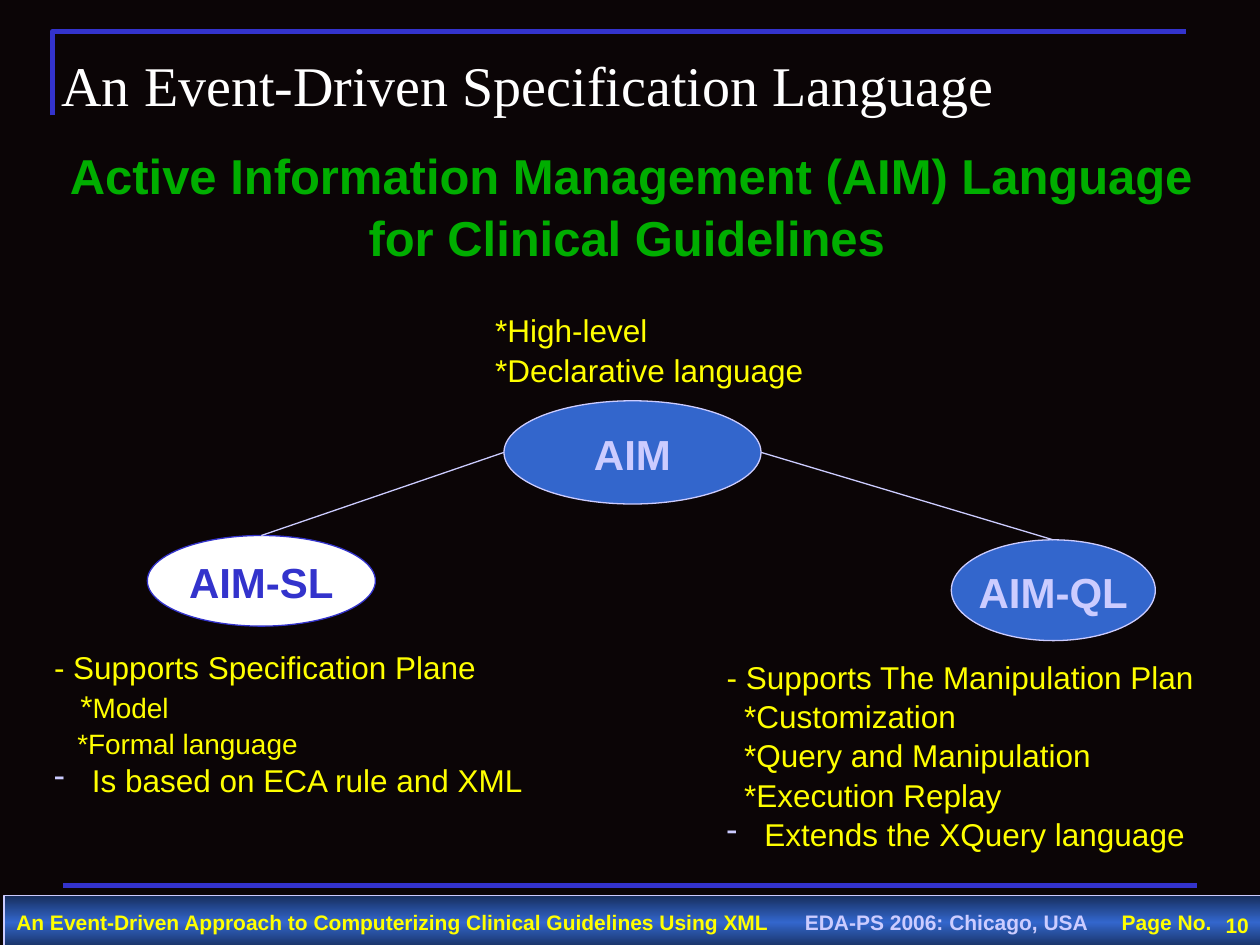
from copy import deepcopy
from lxml.etree import SubElement
from pptx import Presentation
from pptx.dml.color import RGBColor
from pptx.enum.shapes import MSO_CONNECTOR, MSO_SHAPE
from pptx.enum.text import MSO_ANCHOR, PP_ALIGN
from pptx.oxml.ns import qn
from pptx.util import Pt

INDIGO, BLUE, NAVY = "3333CC", "3366CC", "172F5E"
LILAC, YELLOW, GREEN, WHITE = "CCCCFF", "FFFF00", "00AE00", "FFFFFF"
SPACING = 1.04
BULLET_INDENT = 21.6

# Content: a run is (text, size, colour, bold)
TITLE = [("An Event-Driven Specification Language", 32, WHITE, False)]
HEADING = [("Active Information Management (AIM) Language for Clinical Guidelines", 28, GREEN, True),
           (" ", 18, LILAC, False)]
FOOTER = [("An Event-Driven Approach to Computerizing Clinical Guidelines Using XML", 12, YELLOW, True),
          ("\tEDA-PS 2006: Chicago, USA", 12, LILAC, True),
          ("\tPage No.", 12, YELLOW, True)]
FOOTER_TABS = (450.6, 631.7)
PAGE_NUMBER = [("10", 12, YELLOW, True)]

# Ellipses: name, box, fill, line and text colour
ELLIPSES = [
    ("AIM", (288, 229, 146.9, 59), BLUE, LILAC),
    ("AIM-SL", (84.2, 306, 130.3, 51.8), WHITE, INDIGO),
    ("AIM-QL", (543.6, 308.5, 116.6, 57.6), BLUE, LILAC),
]

# Notes: box, then lines of (runs as (text, size), left indent, bulleted)
NOTES = [
    ((275.8, 173.5, 190.8, 52.6), [
        ([("*High-level", 18)], 0, False),
        ([("*Declarative language", 18)], 0, False)]),
    ((23.8, 365.8, 347.8, 117.4), [
        ([("- Supports Specification Plane", 18)], 0, False),
        ([("*", 18), ("Model", 16)], 15, False),
        ([("*Formal language", 16)], 13.3, False),
        ([("Is based on ECA rule and XML", 18)], BULLET_INDENT, True)]),
    ((408.2, 371.5, 300.2, 141.8), [
        ([("- Supports The Manipulation Plan", 18)], 0, False),
        ([("*Customization", 18)], 10, False),
        ([("*Query and Manipulation", 18)], 10, False),
        ([("*Execution Replay", 18)], 10, False),
        ([("Extends the XQuery language", 18)], BULLET_INDENT, True)]),
]

presentation = Presentation()
presentation.slide_width, presentation.slide_height = Pt(720), Pt(540)
slide = presentation.slides.add_slide(presentation.slide_layouts[6])
shapes = slide.shapes


def color(value):
    return RGBColor.from_string(value)


def set_line(shape, value, width):
    shape.line.color.rgb = color(value)
    shape.line.width = Pt(width)


def add_runs(paragraph, runs, font="Arial"):
    for text, size, value, bold in runs:
        run = paragraph.add_run()
        run.text = text
        run.font.name, run.font.size, run.font.bold = font, Pt(size), bold
        run.font.color.rgb = color(value)


def add_text(box, runs, align=PP_ALIGN.LEFT, anchor=MSO_ANCHOR.TOP, spacing=SPACING, font="Arial"):
    frame = shapes.add_textbox(*map(Pt, box)).text_frame
    frame.word_wrap, frame.vertical_anchor = True, anchor
    paragraph = frame.paragraphs[0]
    paragraph.alignment, paragraph.line_spacing = align, spacing
    add_runs(paragraph, runs, font)
    return frame


def add_line(start, end, value, width):
    line = shapes.add_connector(MSO_CONNECTOR.STRAIGHT, *map(Pt, (*start, *end)))
    set_line(line, value, width)
    SubElement(line._element.spPr, qn("a:effectLst"))


def indent(paragraph, left, bulleted):
    properties = paragraph._p.get_or_add_pPr()
    properties.set("marL", str(int(Pt(left))))
    properties.set("indent", str(int(Pt(-left if bulleted else 0))))
    if bulleted:
        bullet_color = SubElement(properties, qn("a:buClr"))
        SubElement(bullet_color, qn("a:srgbClr")).set("val", LILAC)
        SubElement(properties, qn("a:buChar")).set("char", "-")


# Background and frame lines
slide.background.fill.solid()
slide.background.fill.fore_color.rgb = color("0B0506")
builder = shapes.build_freeform(30.2, 66.2, scale=Pt(1))
builder.add_line_segments([(30.2, 18), (678.2, 18)], close=False)
corner = builder.convert_to_shape()
corner.shadow.inherit = False
corner.fill.background()
set_line(corner, INDIGO, 3)
add_line((36, 506.2), (684, 506.2), INDIGO, 3)

# Footer band
footer = shapes.add_shape(MSO_SHAPE.RECTANGLE, *map(Pt, (2.2, 511.9, 720.7, 30.2)))
footer.shadow.inherit = False
set_line(footer, LILAC, 0.74)
footer.fill.gradient()
footer.fill.gradient_angle = 90
stop_list = footer._element.spPr.find(qn("a:gradFill")).find(qn("a:gsLst"))
stop_list.insert(1, deepcopy(stop_list[0]))
for stop, value, position in zip(footer.fill.gradient_stops, (NAVY, BLUE, NAVY), (0, 0.5, 1)):
    stop.color.rgb, stop.position = color(value), position
footer.text_frame.word_wrap = True
paragraph = footer.text_frame.paragraphs[0]
paragraph.alignment = PP_ALIGN.LEFT
tab_list = SubElement(paragraph._p.get_or_add_pPr(), qn("a:tabLst"))
for position in FOOTER_TABS:
    tab = SubElement(tab_list, qn("a:tab"))
    tab.set("pos", str(int(Pt(position))))
    tab.set("algn", "l")
add_runs(paragraph, FOOTER)

# Title and heading
add_text((28.1, 14.4, 691.9, 70.6), TITLE, anchor=MSO_ANCHOR.MIDDLE, spacing=0.98, font="Times New Roman")
add_text((12.2, 78.5, 697, 77), HEADING, align=PP_ALIGN.CENTER)

# Language ellipses
for name, box, fill, accent in ELLIPSES:
    ellipse = shapes.add_shape(MSO_SHAPE.OVAL, *map(Pt, box))
    ellipse.shadow.inherit = False
    ellipse.fill.solid()
    ellipse.fill.fore_color.rgb = color(fill)
    set_line(ellipse, accent, 0.74)
    ellipse.text_frame.word_wrap = False
    paragraph = ellipse.text_frame.paragraphs[0]
    paragraph.alignment, paragraph.line_spacing = PP_ALIGN.CENTER, SPACING
    add_runs(paragraph, [(name, 24, accent, True)])

# Notes beside the ellipses
for box, lines in NOTES:
    frame = add_text(box, [])
    for index, (runs, left, bulleted) in enumerate(lines):
        paragraph = frame.add_paragraph() if index else frame.paragraphs[0]
        paragraph.line_spacing = SPACING
        indent(paragraph, left, bulleted)
        add_runs(paragraph, [(text, size, YELLOW, False) for text, size in runs])

# Branches from the sides of the parent to the tops of its children
(left, top, width, height), *children = [box for _, box, _, _ in ELLIPSES]
for side, child in zip((left, left + width), children):
    add_line((side, top + height / 2), (child[0] + child[2] / 2, child[1]), LILAC, 0.74)

# Page number
add_text((691.9, 516.2, 30.2, 23), PAGE_NUMBER, PP_ALIGN.CENTER, MSO_ANCHOR.BOTTOM, 1.0)

presentation.save("out.pptx")
